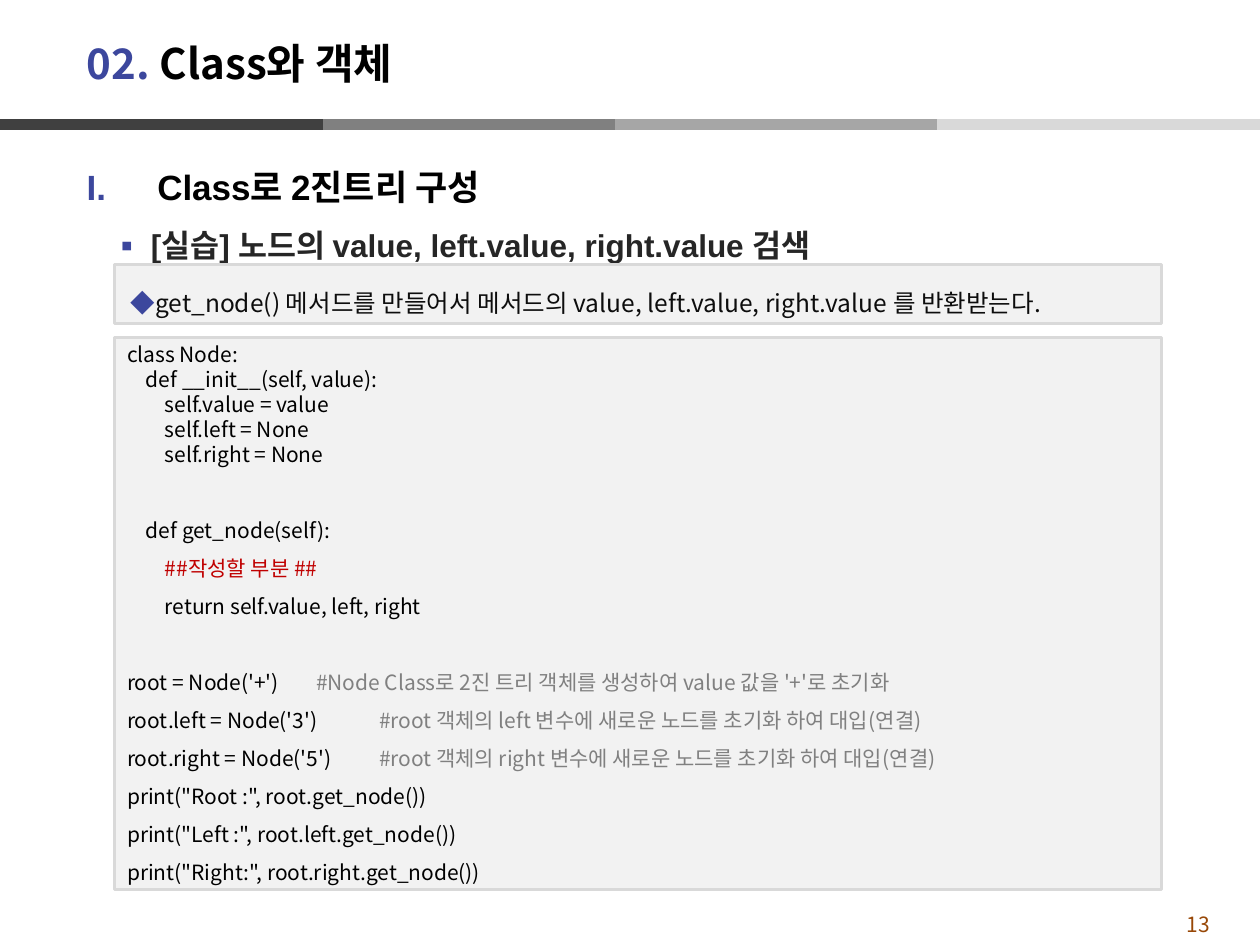
import dataclasses

import lxml.etree
import pptx
import pptx.dml.color
import pptx.enum.shapes
import pptx.enum.text
import pptx.oxml.ns
import pptx.util

ALIGN = pptx.enum.text.PP_ALIGN
ANCHOR = pptx.enum.text.MSO_ANCHOR
COLUMNS, ROWS = 100, 75
WIDTH, HEIGHT = pptx.util.Inches(10), pptx.util.Inches(7.5)


@dataclasses.dataclass(frozen=True)
class Theme:
    """Colours, fonts and type sizes of the slide."""
    accent: str = "3C479D"
    black: str = "000000"
    heading: str = "262626"
    body: str = "0D0D0D"
    comment: str = "808080"
    todo: str = "C00000"
    page: str = "984807"
    panel: str = "F2F2F2"
    border: str = "D9D9D9"
    bars: tuple = ("404040", "808080", "A6A6A6", "D9D9D9")
    font: str = "Noto Sans CJK KR"
    latin: str = "Arial"
    title_size: int = 24
    section_size: int = 20
    topic_size: int = 18
    note_size: int = 14
    code_size: int = 12
    tight: float = 14.3
    loose: float = 21.7


T = Theme()

CODE = [
    (0, "class Node:", {}),
    (1, "def __init__(self, value):", {}),
    (2, "self.value = value", {}),
    (2, "self.left = None", {}),
    (2, "self.right = None", {}),
    (1, "def get_node(self):", {"gap": True}),
    (2, "##작성할 부분 ##", {"color": T.todo}),
    (2, "return self.value, left, right", {}),
    (0, "root = Node('+')", {"gap": True, "tab": 1.54,
     "comment": "#Node Class로 2진 트리 객체를 생성하여 value 값을 '+'로 초기화"}),
    (0, "root.left = Node('3')", {"tab": 1.66,
     "comment": "#root 객체의 left 변수에 새로운 노드를 초기화 하여 대입(연결)"}),
    (0, "root.right = Node('5')", {"tab": 1.7,
     "comment": "#root 객체의 right 변수에 새로운 노드를 초기화 하여 대입(연결)"}),
    (0, 'print("Root :", root.get_node())', {}),
    (0, 'print("Left :", root.left.get_node())', {}),
    (0, 'print("Right:", root.right.get_node())', {}),
]
TIGHT_LINES = 5


def rgb(color):
    """Turn a hex string into a colour."""
    return pptx.dml.color.RGBColor.from_string(color)


def col(n):
    """Return the x position of a grid column."""
    return round(WIDTH * n / COLUMNS)


def row(n):
    """Return the y position of a grid row."""
    return round(HEIGHT * n / ROWS)


def box(x, y, w, h):
    """Return a grid rectangle as slide lengths."""
    return col(x), row(y), col(w), row(h)


def child(parent, tag, **attrs):
    """Append a DrawingML element with attributes."""
    el = lxml.etree.SubElement(parent, pptx.oxml.ns.qn(tag))
    for name, value in attrs.items():
        el.set(name, str(value))
    return el


def add_run(p, text, size=T.code_size, color=T.black, bold=False, font=T.font):
    """Add formatted text to a paragraph."""
    r = p.add_run()
    r.text = text
    r.font.size = pptx.util.Pt(size)
    r.font.color.rgb = rgb(color)
    r.font.bold = bold
    r.font.name = font
    child(r.font._element, "a:ea", typeface=T.font)
    return r


def next_paragraph(tf):
    """Return the empty first paragraph or a new one."""
    first = tf.paragraphs[0]
    return tf.add_paragraph() if first.runs else first


def format_paragraph(p, left=0, hanging=0, leading=None, before=0,
                     bullet=None, number=None, tab=None):
    """Set indents, spacing, bullet and tab stop in inches and points."""
    p.alignment = ALIGN.LEFT
    pPr = p._p.get_or_add_pPr()
    pPr.set("marL", str(pptx.util.Inches(left)))
    pPr.set("indent", str(-pptx.util.Inches(hanging)))
    if bullet or number:
        child(child(pPr, "a:buClr"), "a:srgbClr", val=T.accent)
    if bullet:
        child(pPr, "a:buFont", typeface=T.font)
        child(pPr, "a:buChar", char=bullet)
    if number:
        child(pPr, "a:buFont", typeface="+mj-lt")
        child(pPr, "a:buAutoNum", type=number)
    if tab:
        child(child(pPr, "a:tabLst"), "a:tab",
              pos=pptx.util.Inches(tab), algn="l")
    if leading:
        p.line_spacing = pptx.util.Pt(leading)
    if before:
        p.space_before = pptx.util.Pt(before)


def add_text_box(s, *place):
    """Add a wrapping text box and return its frame."""
    tf = s.shapes.add_textbox(*box(*place)).text_frame
    tf.word_wrap = True
    return tf


def add_panel(s, *place):
    """Add a grey bordered panel and return its frame."""
    sp = s.shapes.add_shape(pptx.enum.shapes.MSO_SHAPE.RECTANGLE, *box(*place))
    sp.shadow.inherit = False
    sp.fill.solid()
    sp.fill.fore_color.rgb = rgb(T.panel)
    sp.line.color.rgb = rgb(T.border)
    sp.line.width = pptx.util.Pt(2)
    tf = sp.text_frame
    tf.word_wrap = True
    tf.vertical_anchor = ANCHOR.MIDDLE
    return tf


def add_bars(s, y=9.9, step=25.6):
    """Draw the four-tone rule, with the darkest part on top."""
    start = COLUMNS - step * len(T.bars)
    for i in (1, 2, 3, 0):
        x = max(0, start + step * i)
        end = x + step
        line = s.shapes.add_connector(pptx.enum.shapes.MSO_CONNECTOR.STRAIGHT,
                                      col(x), row(y), col(end), row(y))
        line.line.color.rgb = rgb(T.bars[i])
        line.line.width = pptx.util.Pt(6)
        child(line._element.spPr, "a:effectLst")


def add_title(s, number, text):
    """Place and format the title placeholder."""
    sp = s.shapes.title
    sp.left, sp.top, sp.width, sp.height = box(5.9, 2, 87.4, 6)
    sp.text_frame.vertical_anchor = ANCHOR.MIDDLE
    p = sp.text_frame.paragraphs[0]
    p.alignment = ALIGN.LEFT
    add_run(p, number, T.title_size, T.accent, True)
    add_run(p, text, T.title_size, T.black, True)


def add_headings(s):
    """Add the numbered section and its topic."""
    tf = add_text_box(s, 5.9, 10.7, 90.6, 10)
    p = next_paragraph(tf)
    format_paragraph(p, 0.56, 0.56, 38, number="romanUcPeriod")
    add_run(p, "Class로 2진트리 구성", T.section_size, T.black, True, T.latin)
    p = next_paragraph(tf)
    format_paragraph(p, 0.51, 0.31, 32, bullet="▪")
    add_run(p, "[실습] 노드의 value, left.value, right.value 검색",
            T.topic_size, T.heading, True, T.latin)


def add_code(s):
    """Add the code listing with its comments."""
    tf = add_panel(s, 9.1, 26.8, 83.1, 43.8)
    for i, (depth, text, opts) in enumerate(CODE):
        p = next_paragraph(tf)
        format_paragraph(p, 0.15 * depth,
                         leading=T.tight if i < TIGHT_LINES else T.loose,
                         before=T.loose if opts.get("gap") else 0,
                         tab=opts.get("tab"))
        add_run(p, text, color=opts.get("color", T.black))
        if "comment" in opts:
            add_run(p, "\t" + opts["comment"], color=T.comment)


def add_note(s):
    """Add the task description panel."""
    p = next_paragraph(add_panel(s, 9.1, 21, 83.1, 4.7))
    format_paragraph(p, 0.18, 0.15, 26, bullet="◆")
    add_run(p, "get_node() 메서드를 만들어서 메서드의 value, left.value, "
            "right.value 를 반환받는다.", T.note_size, T.body)


def add_page_number(s, number):
    """Add the page number at the lower right."""
    tf = add_text_box(s, 90.5, 72.2, 9.2, 2.3)
    tf.margin_top = tf.margin_bottom = 0
    tf.vertical_anchor = ANCHOR.MIDDLE
    p = next_paragraph(tf)
    p.alignment = ALIGN.CENTER
    add_run(p, number, color=T.page)


def main():
    """Build and save the slide."""
    prs = pptx.Presentation()
    prs.slide_width, prs.slide_height = WIDTH, HEIGHT
    s = prs.slides.add_slide(prs.slide_layouts[5])
    add_page_number(s, "13")
    add_bars(s)
    add_title(s, "02. ", "Class와 객체")
    add_headings(s)
    add_code(s)
    add_note(s)
    prs.save("out.pptx")


main()
